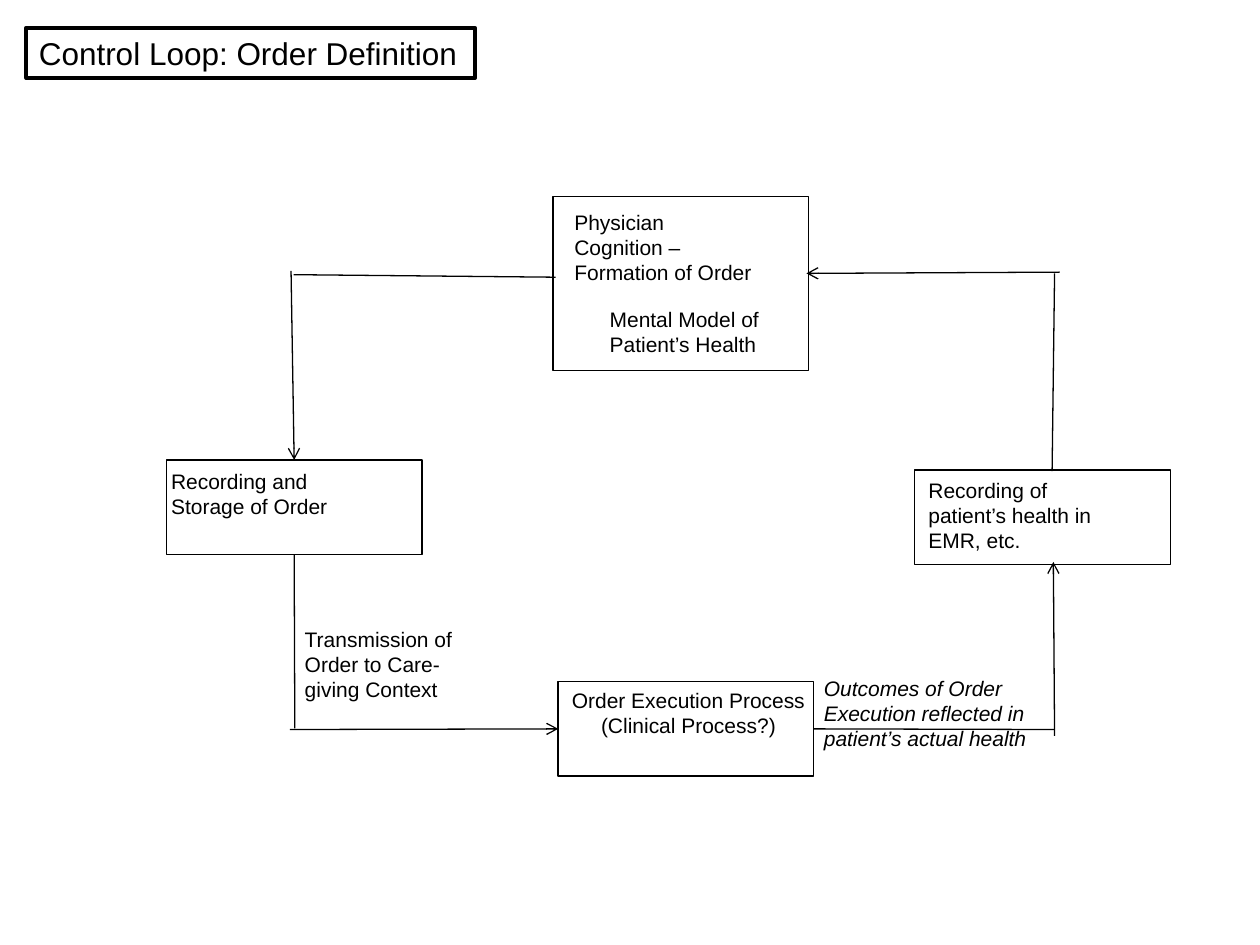
import pptx
import pptx.util
import pptx.dml.color
import pptx.enum.shapes
import pptx.enum.text
import pptx.oxml
import pptx.oxml.ns

Inches, Pt = pptx.util.Inches, pptx.util.Pt
ALIGN = pptx.enum.text.PP_ALIGN
BLACK = "000000"


def rgb(value):
    return pptx.dml.color.RGBColor.from_string(value)


def add_text(tf, text, size=12, italic=False, wrap=True, align=ALIGN.LEFT):
    tf.word_wrap = wrap
    tf.auto_size = pptx.enum.text.MSO_AUTO_SIZE.SHAPE_TO_FIT_TEXT
    tf.vertical_anchor = pptx.enum.text.MSO_ANCHOR.TOP
    for i, line in enumerate(text.split("\n")):
        p = tf.paragraphs[0] if i == 0 else tf.add_paragraph()
        p.alignment = align
        r = p.add_run()
        r.text = line
        r.font.name = "Arial"
        r.font.size = Pt(size)
        r.font.italic = italic
        r.font.color.rgb = rgb(BLACK)


prs = pptx.Presentation()
prs.slide_width, prs.slide_height = Inches(10), Inches(7.5)
s = prs.slides.add_slide(prs.slide_layouts[6])

# Outlined boxes: left, top, width, height, line width
boxes = {}
for name, x, y, w, h, weight in [
    ("physician", 4.39, 1.56, 2.03, 1.38, 0.75),
    ("emr", 7.26, 3.73, 2.03, 0.75, 0.75),
    ("storage", 1.32, 3.65, 2.03, 0.75, 0.75),
    ("execution", 4.43, 5.41, 2.03, 0.75, 0.75),
    ("title", 0.21, 0.22, 3.56, 0.4, 2.25),
]:
    sp = s.shapes.add_shape(pptx.enum.shapes.MSO_SHAPE.RECTANGLE,
                            Inches(x), Inches(y), Inches(w), Inches(h))
    sp.shadow.inherit = False
    sp.fill.background()
    sp.line.color.rgb = rgb(BLACK)
    sp.line.width = Pt(weight)
    boxes[name] = sp

add_text(boxes["title"].text_frame, "Control Loop: Order Definition",
         size=18, wrap=False)

# Loop segments: from, to, arrowhead, joined box and side at each end
for x1, y1, x2, y2, arrow, begin, end in [
    (2.3, 5.79, 4.43, 5.78, True, None, ("execution", 1)),
    (2.34, 4.4, 2.34, 5.78, False, ("storage", 2), None),
    (8.37, 5.84, 8.36, 4.46, True, None, None),
    (6.46, 5.78, 8.37, 5.79, False, ("execution", 3), None),
    (8.41, 2.16, 6.4, 2.17, True, None, None),
    (8.35, 3.74, 8.37, 2.17, False, None, None),
    (2.31, 2.15, 2.33, 3.65, True, None, ("storage", 0)),
    (4.41, 2.2, 2.33, 2.18, False, None, None),
]:
    cn = s.shapes.add_connector(pptx.enum.shapes.MSO_CONNECTOR.STRAIGHT,
                                Inches(x1), Inches(y1), Inches(x2), Inches(y2))
    if begin:
        cn.begin_connect(boxes[begin[0]], begin[1])
    if end:
        cn.end_connect(boxes[end[0]], end[1])
    cn.line.color.rgb = rgb(BLACK)
    cn.line.width = Pt(0.75)
    if arrow:
        tail = pptx.oxml.ns.qn("a:tailEnd")
        ln = cn.line._get_or_add_ln()
        ln.append(ln.makeelement(tail, {"type": "arrow"}))
    sp_pr = cn._element.spPr
    sp_pr.append(sp_pr.makeelement(pptx.oxml.ns.qn("a:effectLst"), {}))

# Box captions and flow labels
for text, x, y, w, h, style in [
    ("Physician\nCognition – Formation of Order", 4.46, 1.61, 1.82, 0.71, {}),
    ("Mental Model of Patient’s Health", 4.74, 2.38, 1.71, 0.5, {}),
    ("Recording and\nStorage of Order", 1.26, 3.67, 1.97, 0.5, {}),
    ("Recording of patient’s health in EMR, etc.", 7.27, 3.74, 1.78, 0.71, {}),
    ("Order Execution Process\n(Clinical Process?)", 4.43, 5.41, 2.07, 0.5,
     {"wrap": False, "align": ALIGN.CENTER}),
    ("Transmission of Order to Care-giving Context",
     2.32, 4.92, 1.51, 0.71, {}),
    ("Outcomes of Order Execution reflected in patient’s actual health",
     6.44, 5.31, 1.89, 0.71, {"italic": True}),
]:
    tb = s.shapes.add_textbox(Inches(x), Inches(y), Inches(w), Inches(h))
    add_text(tb.text_frame, text, **style)

prs.save("out.pptx")
